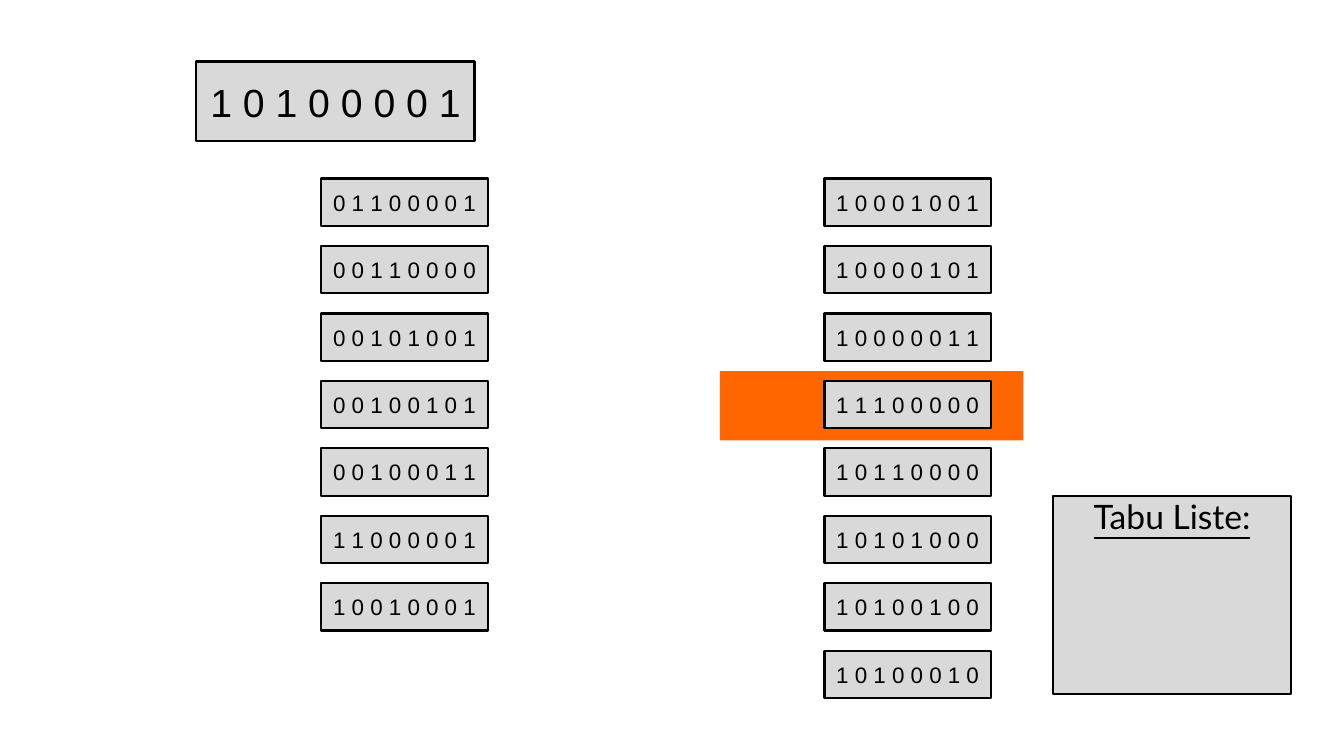
import pptx
import pptx.util
import pptx.dml.color
import pptx.enum.shapes
import pptx.enum.text

Cm = pptx.util.Cm
COLOURS = {"box": "D9D9D9", "ink": "000000", "best": "FF6600"}
ROW_PITCH = 1.7
CELL_WIDTH, CELL_HEIGHT = 4.19, 1.19
LEFT_NEIGHBOURS = ["01100001", "00110000", "00101001", "00100101",
                   "00100011", "11000001", "10010001"]
RIGHT_NEIGHBOURS = ["10001001", "10000101", "10000011", "11100000",
                    "10110000", "10101000", "10100100", "10100010"]


def rgb(name):
    """Return the named palette colour."""
    return pptx.dml.color.RGBColor.from_string(COLOURS[name])


def add_panel(slide, left, top, width, height, fill):
    """Add a plain filled rectangle, measured in centimetres."""
    panel = slide.shapes.add_shape(
        pptx.enum.shapes.MSO_SHAPE.RECTANGLE,
        Cm(left), Cm(top), Cm(width), Cm(height))
    panel.shadow.inherit = False
    panel.fill.solid()
    panel.fill.fore_color.rgb = rgb(fill)
    panel.line.fill.background()
    return panel


def add_label_box(slide, left, top, width, height, label, size, font="Arial"):
    """Add an outlined grey box with a centred label."""
    box = add_panel(slide, left, top, width, height, "box")
    box.line.color.rgb = rgb("ink")
    box.line.width = pptx.util.Pt(1.5)
    frame = box.text_frame
    frame.word_wrap = False
    frame.vertical_anchor = pptx.enum.text.MSO_ANCHOR.MIDDLE
    paragraph = frame.paragraphs[0]
    paragraph.alignment = pptx.enum.text.PP_ALIGN.CENTER
    run = paragraph.add_run()
    run.text = label
    run.font.size = pptx.util.Pt(size)
    run.font.name = font
    run.font.color.rgb = rgb("ink")
    return box


def add_current_solution(slide, left, top, width, height, bits):
    """Add the large box holding the current solution."""
    add_label_box(slide, left, top, width, height, " ".join(bits), 28)


def add_neighbours(slide, left, top, solutions, best=None):
    """Stack neighbour solutions, with a band behind the best one."""
    if best is not None:
        band_top = top + solutions.index(best) * ROW_PITCH - 0.25
        add_panel(slide, left - 2.64, band_top, 7.65, 1.75, "best")
    for row, bits in enumerate(solutions):
        add_label_box(slide, left, top + row * ROW_PITCH,
                      CELL_WIDTH, CELL_HEIGHT, " ".join(bits), 16)


def add_tabu_list(slide, left, top, width, height):
    """Add the empty tabu list with its underlined heading."""
    tabu_list = add_label_box(slide, left, top, width, height,
                              "Tabu Liste:", 24, "Lato")
    frame = tabu_list.text_frame
    frame.vertical_anchor = pptx.enum.text.MSO_ANCHOR.TOP
    frame.margin_top = 0
    frame.paragraphs[0].runs[0].font.underline = True


def main():
    """Build the tabu search slide."""
    deck = pptx.Presentation()
    deck.slide_width, deck.slide_height = Cm(33.87), Cm(19.05)
    slide = deck.slides.add_slide(deck.slide_layouts[6])
    add_current_solution(slide, 4.95, 1.55, 7.01, 2.01, "10100001")
    add_tabu_list(slide, 26.54, 12.5, 6, 5)
    add_neighbours(slide, 8.1, 4.5, LEFT_NEIGHBOURS)
    add_neighbours(slide, 20.78, 4.5, RIGHT_NEIGHBOURS, best="11100000")
    deck.save("out.pptx")


if __name__ == "__main__":
    main()
